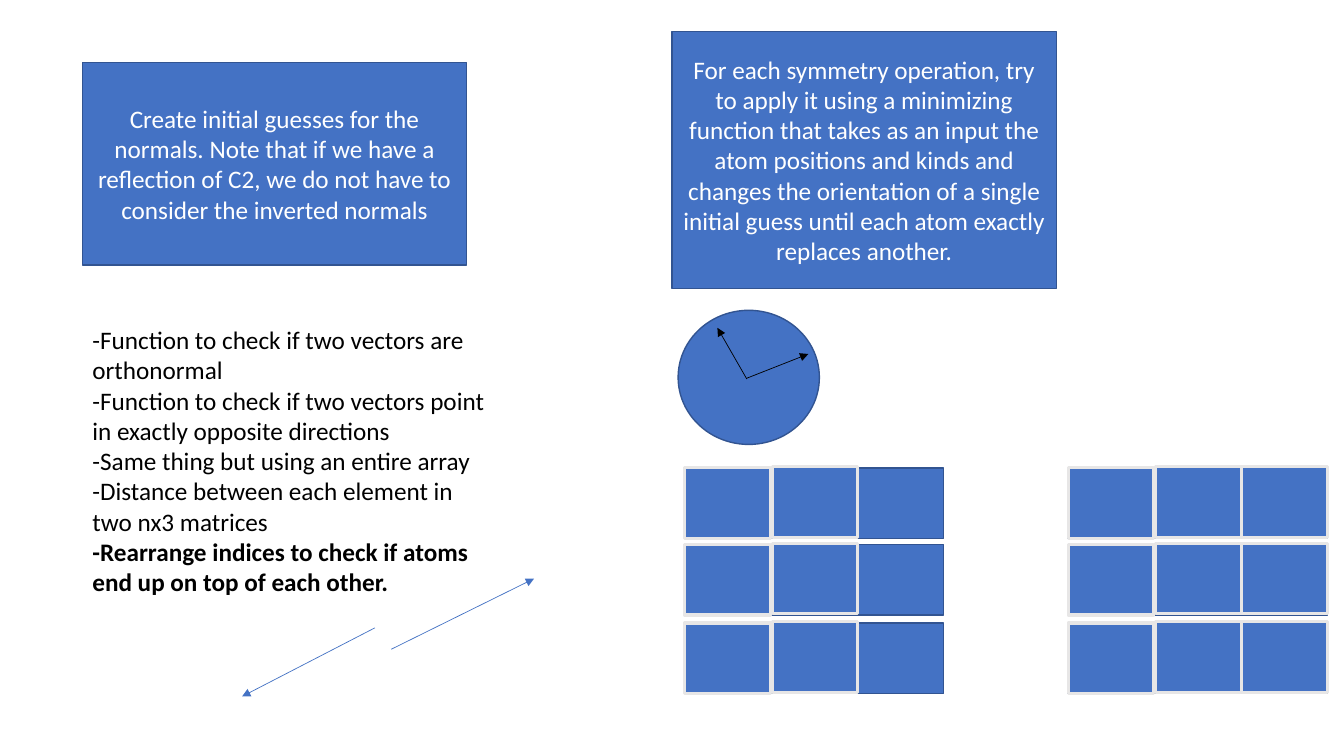
from dataclasses import dataclass

from lxml import etree
from pptx import Presentation
from pptx.dml.color import RGBColor
from pptx.enum.shapes import MSO_CONNECTOR, MSO_SHAPE
from pptx.enum.text import MSO_ANCHOR, MSO_AUTO_SIZE, PP_ALIGN
from pptx.oxml.ns import qn
from pptx.slide import Slide
from pptx.util import Cm, Pt

RECTANGLE = MSO_SHAPE.RECTANGLE
OVAL = MSO_SHAPE.OVAL
STRAIGHT = MSO_CONNECTOR.STRAIGHT
MIDDLE = MSO_ANCHOR.MIDDLE
GROW = MSO_AUTO_SIZE.SHAPE_TO_FIT_TEXT
CENTER = PP_ALIGN.CENTER

FONT = "Calibri"
TEXT_SIZE = Pt(18)
COLORS = {
    "blue": "4472C4",
    "outline": "325491",
    "cell_border": "E7E6E6",
    "white": "FFFFFF",
    "black": "000000",
}


@dataclass(frozen=True)
class Block:
    left: float
    top: float
    width: float
    height: float
    text: str = ""
    kind: int = RECTANGLE
    line_color: str = "outline"
    line_width: float = 1


@dataclass(frozen=True)
class Arrow:
    start: tuple[float, float]
    end: tuple[float, float]
    color: str


@dataclass(frozen=True)
class Matrix:
    left: float
    outlined_columns: int


STEPS = [
    Block(2.08, 1.57, 9.68, 5.11,
          "Create initial guesses for the normals. Note that if we have a "
          "reflection of C2, we do not have to consider the inverted normals"),
    Block(16.94, 0.79, 9.68, 6.48,
          "For each symmetry operation, try to apply it using a minimizing "
          "function that takes as an input the atom positions and kinds and "
          "changes the orientation of a single initial guess until each atom "
          "exactly replaces another."),
]
FUNCTIONS = [
    "-Function to check if two vectors are orthonormal",
    "-Function to check if two vectors point in exactly opposite directions",
    "-Same thing but using an entire array",
    "-Distance between each element in two nx3 matrices",
    "-Rearrange indices to check if atoms end up on top of each other.",
]
MATRICES = [Matrix(26.92, 3), Matrix(17.25, 2)]
ROW_TOPS = [11.79, 13.72, 15.7]
ROW_WIDTH, ROW_HEIGHT, CELL_WIDTH = 6.53, 1.78, 2.16
CELL_OFFSETS = [(0, 0), (2.21, -0.03), (4.37, -0.03)]
CIRCLE = Block(17.09, 7.82, 3.56, 3.38, kind=OVAL)
ARROWS = [
    Arrow((9.45, 15.82), (6.1, 17.55), "blue"),
    Arrow((18.82, 9.53), (20.37, 8.92), "black"),
    Arrow((18.82, 9.55), (18.08, 8.26), "black"),
    Arrow((9.86, 16.36), (13.46, 14.58), "blue"),
]


def color(name: str) -> RGBColor:
    return RGBColor.from_string(COLORS[name])


def style_paragraph(paragraph, color_name: str) -> None:
    paragraph.font.name = FONT
    paragraph.font.size = TEXT_SIZE
    paragraph.font.color.rgb = color(color_name)


def draw_block(slide: Slide, block: Block) -> None:
    shape = slide.shapes.add_shape(
        block.kind, Cm(block.left), Cm(block.top), Cm(block.width), Cm(block.height))
    shape.shadow.inherit = False
    shape.fill.solid()
    shape.fill.fore_color.rgb = color("blue")
    shape.line.color.rgb = color(block.line_color)
    shape.line.width = Pt(block.line_width)
    if block.text:
        frame = shape.text_frame
        frame.word_wrap = True
        frame.vertical_anchor = MIDDLE
        paragraph = frame.paragraphs[0]
        paragraph.text = block.text
        paragraph.alignment = CENTER
        style_paragraph(paragraph, "white")


def draw_function_list(slide: Slide) -> None:
    box = slide.shapes.add_textbox(Cm(2.08), Cm(8.05), Cm(10.62), Cm(7.95))
    frame = box.text_frame
    frame.word_wrap = True
    frame.auto_size = GROW
    frame.text = "\n".join(FUNCTIONS)
    for paragraph in frame.paragraphs:
        style_paragraph(paragraph, "black")
    frame.paragraphs[-1].font.bold = True


def draw_matrix(slide: Slide, matrix: Matrix) -> None:
    for top in ROW_TOPS:
        draw_block(slide, Block(matrix.left, top, ROW_WIDTH, ROW_HEIGHT))
        for across, down in CELL_OFFSETS[:matrix.outlined_columns]:
            draw_block(slide, Block(
                matrix.left + across, top + down, CELL_WIDTH, ROW_HEIGHT,
                line_color="cell_border", line_width=2.25))


def draw_arrow(slide: Slide, arrow: Arrow) -> None:
    start_x, start_y = map(Cm, arrow.start)
    end_x, end_y = map(Cm, arrow.end)
    connector = slide.shapes.add_connector(STRAIGHT, start_x, start_y, end_x, end_y)
    connector.line.color.rgb = color(arrow.color)
    connector.line.width = Pt(0.5)
    properties = connector.element.spPr
    etree.SubElement(properties.find(qn("a:ln")), qn("a:tailEnd"), type="triangle")
    etree.SubElement(properties, qn("a:effectLst"))


def main() -> None:
    presentation = Presentation()
    presentation.slide_width = Cm(33.87)
    presentation.slide_height = Cm(19.05)
    slide = presentation.slides.add_slide(presentation.slide_layouts[6])
    for step in STEPS:
        draw_block(slide, step)
    draw_function_list(slide)
    for matrix in MATRICES:
        draw_matrix(slide, matrix)
    draw_block(slide, CIRCLE)
    for arrow in ARROWS:
        draw_arrow(slide, arrow)
    presentation.save("out.pptx")


main()
